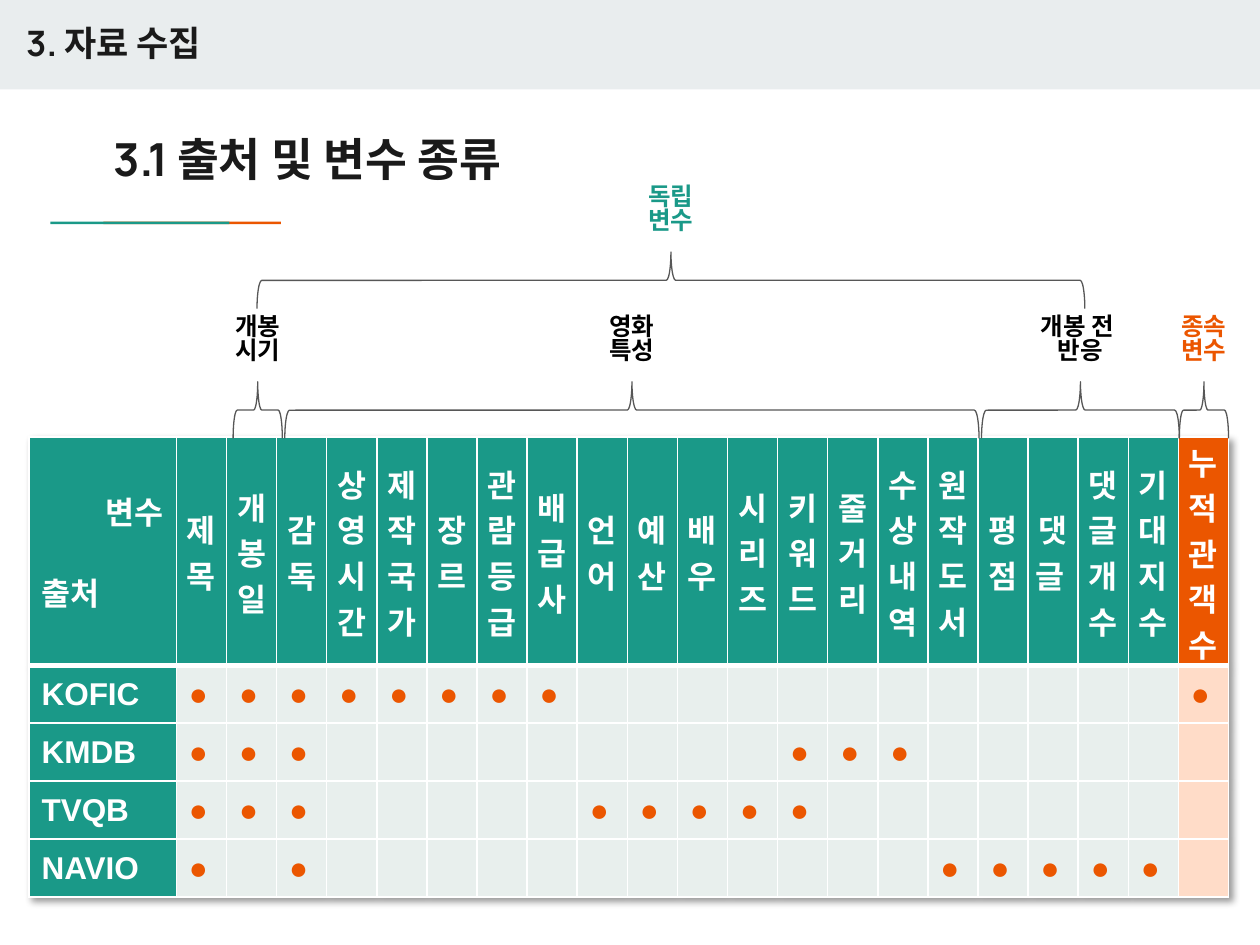
from typing import NamedTuple

from lxml.etree import SubElement
from pptx import Presentation
from pptx.dml.color import RGBColor
from pptx.enum.shapes import MSO_SHAPE
from pptx.enum.text import MSO_ANCHOR as Anchor, PP_ALIGN as Align
from pptx.oxml.ns import qn
from pptx.util import Inches, Pt

TEAL = RGBColor(0x1A, 0x99, 0x88)
ORANGE = RGBColor(0xEB, 0x56, 0x00)
PALE_TEAL = RGBColor(0xE8, 0xEF, 0xED)
PALE_ORANGE = RGBColor(0xFF, 0xDC, 0xC8)
BAND = RGBColor(0xE9, 0xED, 0xEE)
INK = RGBColor(0x1A, 0x1A, 0x1A)
GRAY = RGBColor(0x57, 0x57, 0x57)
BLACK = RGBColor(0, 0, 0)
WHITE = RGBColor(0xFF, 0xFF, 0xFF)

BRACE_HEIGHT = 0.45
LABEL_WIDTH = 1.1
LABEL_HEIGHT = 0.57
FIRST_COL, COL, HEADER_ROW, ROW = 1.17, 0.398, 1.81, 0.46


class Group(NamedTuple):
    text: str
    left: float
    right: float
    label_top: float
    color: RGBColor


class Source(NamedTuple):
    name: str
    columns: tuple[int, ...]


GROUPS = (
    Group("개봉\n시기", 1.85, 2.24, 2.46, BLACK),
    Group("영화\n특성", 2.26, 7.77, 2.46, BLACK),
    Group("개봉 전 \n반응", 7.79, 9.36, 2.46, BLACK),
    Group("종속\n변수", 9.36, 9.75, 2.46, ORANGE),
    Group("독립\n변수", 2.04, 8.61, 1.43, TEAL),
)
VARIABLES = (
    "제목", "개봉일", "감독", "상영시간", "제작국가", "장르", "관람등급",
    "배급사", "언어", "예산", "배우", "시리즈", "키워드", "줄거리", "수상내역",
    "원작도서", "평점", "댓글 ", "댓글 개수", "기대지수", "누적관객수",
)
SOURCES = (
    Source("KOFIC", (1, 2, 3, 4, 5, 6, 7, 8, 21)),
    Source("KMDB", (1, 2, 3, 13, 14, 15)),
    Source("TVQB", (1, 2, 3, 9, 10, 11, 12, 13)),
    Source("NAVIO", (1, 3, 16, 17, 18, 19, 20)),
)


def format_text(tf, size: float, color: RGBColor, bold=True, font="Arial", align=None):
    for p in tf.paragraphs:
        p.alignment = align
        for r in p.runs:
            r.font.name, r.font.size, r.font.bold = font, Pt(size), bold
            r.font.color.rgb = color


def add_bar(s, left: float, top: float, width: float, height: float, color: RGBColor):
    sp = s.shapes.add_shape(MSO_SHAPE.RECTANGLE, Inches(left), Inches(top),
                            Inches(width), Inches(height))
    sp.shadow.inherit = False
    sp.fill.solid()
    sp.fill.fore_color.rgb = color
    sp.line.fill.background()


def add_heading(s, text: str, left: float, top: float, height: float, size: float,
                anchor: Anchor):
    tf = s.shapes.add_textbox(Inches(left), Inches(top), Inches(8.41),
                              Inches(height)).text_frame
    tf.word_wrap = True
    tf.vertical_anchor = anchor
    tf.margin_top = tf.margin_bottom = Inches(0.1)
    tf.text = text
    format_text(tf, size, INK, font="Manrope")


def add_group(s, group: Group):
    """Draw a label with an upward brace spanning its columns below it."""
    center = (group.left + group.right) / 2
    span = group.right - group.left
    middle = group.label_top + LABEL_HEIGHT + BRACE_HEIGHT / 2
    sp = s.shapes.add_shape(MSO_SHAPE.LEFT_BRACE, Inches(center - BRACE_HEIGHT / 2),
                            Inches(middle - span / 2), Inches(BRACE_HEIGHT), Inches(span))
    sp.rotation = 90
    sp.shadow.inherit = False
    sp.fill.background()
    sp.line.color.rgb = GRAY
    sp.line.width = Pt(0.75)

    tf = s.shapes.add_textbox(Inches(center - LABEL_WIDTH / 2), Inches(group.label_top),
                              Inches(LABEL_WIDTH), Inches(LABEL_HEIGHT)).text_frame
    tf.word_wrap = True
    tf.text = group.text
    format_text(tf, 14, group.color, align=Align.CENTER)
    for p in tf.paragraphs:
        p.line_spacing = 0.82


def set_borders(cell, bottom: float):
    """Give a cell white borders, placed before its fill as the schema asks."""
    tc_pr = cell._tc.get_or_add_tcPr()
    for i, (side, width) in enumerate((("L", 1), ("R", 1), ("T", 1), ("B", bottom))):
        ln = SubElement(tc_pr, qn(f"a:ln{side}"), w=str(Pt(width)))
        SubElement(SubElement(ln, qn("a:solidFill")), qn("a:srgbClr"), val=str(WHITE))
        tc_pr.insert(i, ln)


def fill_cell(cell, text: str, fill: RGBColor, color=WHITE, bold=True, align=None, bottom=1):
    cell.fill.solid()
    cell.fill.fore_color.rgb = fill
    cell.vertical_anchor = Anchor.MIDDLE
    cell.text_frame.text = text
    format_text(cell.text_frame, 18, color, bold, align=align)
    set_borders(cell, bottom)


def add_shadow(table):
    effects = SubElement(table._tbl.tblPr, qn("a:effectLst"))
    shadow = SubElement(effects, qn("a:outerShdw"), blurRad=str(Pt(4)), dist=str(Pt(3)),
                        dir="2700000", algn="tl", rotWithShape="0")
    color = SubElement(shadow, qn("a:srgbClr"), val=str(BLACK))
    SubElement(color, qn("a:alpha"), val="40000")


def add_variable_table(s):
    last = len(VARIABLES)
    table = s.shapes.add_table(len(SOURCES) + 1, last + 1, Inches(0.23), Inches(3.47),
                               Inches(FIRST_COL + COL * last),
                               Inches(HEADER_ROW + ROW * len(SOURCES))).table
    table.first_row = table.horz_banding = False
    add_shadow(table)
    for i, column in enumerate(table.columns):
        column.width = Inches(COL if i else FIRST_COL)
    for i, row in enumerate(table.rows):
        row.height = Inches(ROW if i else HEADER_ROW)

    corner = table.cell(0, 0)
    fill_cell(corner, "변수\n출처", TEAL, bottom=3)
    upper, lower = corner.text_frame.paragraphs
    upper.alignment = Align.RIGHT
    lower.space_before = Pt(20)

    for col, name in enumerate(VARIABLES, 1):
        cell = table.cell(0, col)
        fill_cell(cell, name, ORANGE if col == last else TEAL, align=Align.CENTER, bottom=3)
        cell.margin_left = cell.margin_right = cell.margin_top = Inches(0.01)
        cell.margin_bottom = 0
    for row, source in enumerate(SOURCES, 1):
        fill_cell(table.cell(row, 0), source.name, TEAL)
        for col in range(1, last + 1):
            fill_cell(table.cell(row, col), "●" if col in source.columns else "",
                      PALE_ORANGE if col == last else PALE_TEAL, ORANGE, bold=False)


def main():
    prs = Presentation()
    prs.slide_width, prs.slide_height = Inches(10), Inches(7.5)
    s = prs.slides.add_slide(prs.slide_layouts[6])
    add_bar(s, 0, 0, 10, 0.71, BAND)
    add_bar(s, 0.82, 1.76, 1.41, 0.02, ORANGE)
    add_bar(s, 0.4, 1.76, 1.42, 0.02, TEAL)
    add_heading(s, "3.1 출처 및 변수 종류", 0.8, 0.94, 0.78, 26, Anchor.TOP)
    add_heading(s, "3. 자료 수집", 0.11, 0, 0.68, 20, Anchor.MIDDLE)
    add_variable_table(s)
    for group in GROUPS:
        add_group(s, group)
    prs.save("out.pptx")


if __name__ == "__main__":
    main()
